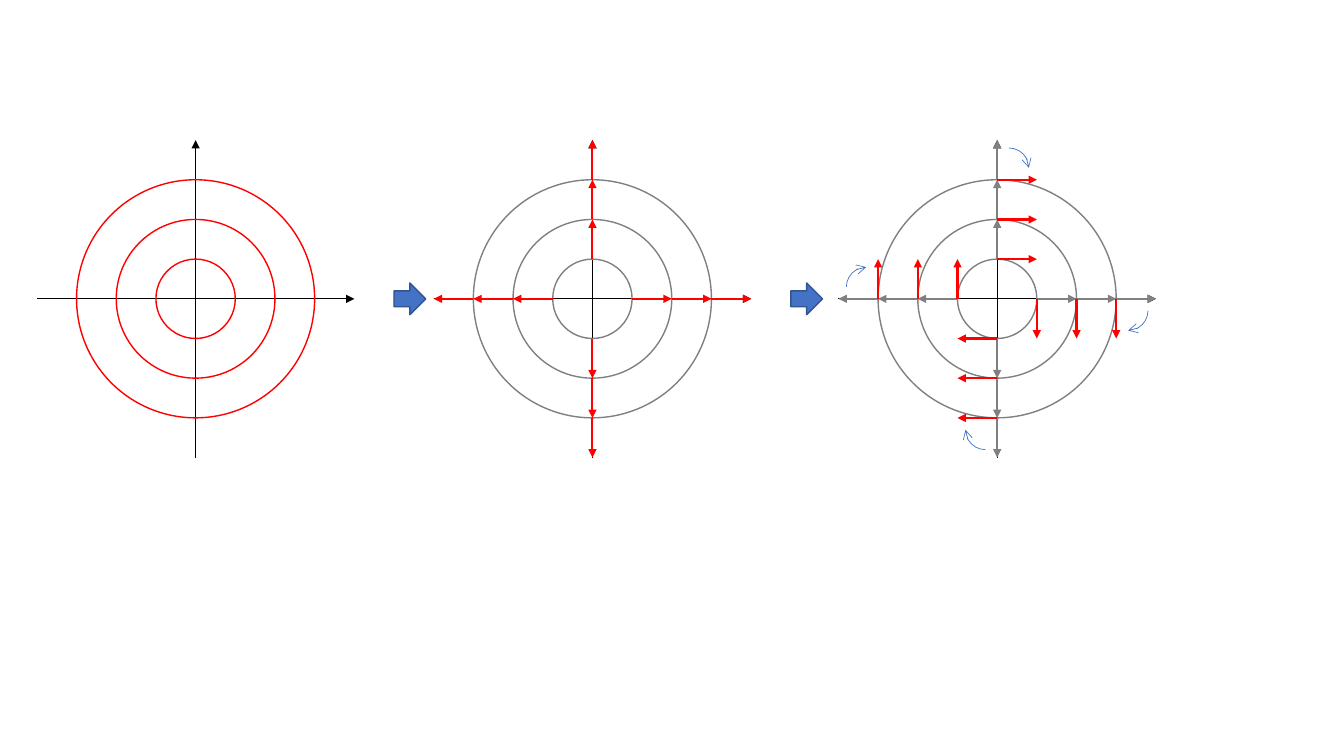
from dataclasses import dataclass
from typing import Any

from lxml import etree
from pptx import Presentation
from pptx import util as u
from pptx.dml.color import RGBColor
from pptx.enum import shapes as sh
from pptx.oxml.ns import qn


# Theme: colours and line formats
@dataclass(frozen=True)
class Theme:
    black: str = "000000"
    red: str = "FF0000"
    gray: str = "808080"
    blue: str = "4472C4"
    navy: str = "325491"
    thin: float = 0.5
    edge: float = 1
    bold: float = 1.5


# One diagram: centre, ring colour, colour of the radial arrows, turned arrows
@dataclass(frozen=True)
class Panel:
    x: float
    ring: str
    ray: str = ""
    turned: bool = False


THEME = Theme()
MID = 7.53  # height of all centres, cm
RADII = (1, 2, 3)
REACH = 4
SIDES = ((1, 0), (0, 1), (-1, 0), (0, -1))
PANELS = (
    Panel(4.93, THEME.red),
    Panel(14.93, THEME.gray, THEME.red),
    Panel(25.13, THEME.gray, THEME.gray, True),
)
BLOCKS = (10.33, 20.33)  # centres of the block arrows

prs = Presentation()
for name, size in {"slide_width": 33.87, "slide_height": 19.05}.items():
    setattr(prs, name, u.Cm(size))
slide = prs.slides.add_slide(prs.slide_layouts[6])


def pen(item: Any, color: str, width: float, head: str = "") -> None:
    """Set the outline and, if named, the arrowhead at its end."""
    item.line.color.rgb = RGBColor.from_string(color)
    item.line.width = u.Pt(width)
    if head:
        line = item.element.spPr.find(qn("a:ln"))
        etree.SubElement(line, qn("a:tailEnd"), type=head)


def arrow(x: float, y: float, dx: float, dy: float, color: str, width: float) -> None:
    item = slide.shapes.add_connector(
        sh.MSO_CONNECTOR.STRAIGHT, u.Cm(x), u.Cm(y), u.Cm(x + dx), u.Cm(y + dy))
    pen(item, color, width, "triangle")
    etree.SubElement(item.element.spPr, qn("a:effectLst"))


def form(kind: sh.MSO_SHAPE, x: float, y: float, size: float, fill: str = "") -> Any:
    """Add a square preset shape around a centre."""
    item = slide.shapes.add_shape(
        kind, u.Cm(x - size / 2), u.Cm(y - size / 2), u.Cm(size), u.Cm(size))
    item.shadow.inherit = False
    if fill:
        item.fill.solid()
        item.fill.fore_color.rgb = RGBColor.from_string(fill)
    else:
        item.fill.background()
    return item


def draw(panel: Panel) -> None:
    # Axes and rings
    arrow(panel.x, MID + REACH, 0, -2 * REACH, THEME.black, THEME.thin)
    arrow(panel.x - REACH, MID, 2 * REACH, 0, THEME.black, THEME.thin)
    for r in RADII:
        pen(form(sh.MSO_SHAPE.OVAL, panel.x, MID, 2 * r), panel.ring, THEME.edge)

    # Radial arrows
    if panel.ray:
        for dx, dy in SIDES:
            for r in RADII:
                arrow(panel.x + r * dx, MID + r * dy, dx, dy, panel.ray, THEME.bold)

    # Arrows after a quarter turn, with a curved mark on each side
    if panel.turned:
        for i, (dx, dy) in enumerate(SIDES):
            tx, ty = -dy, dx
            for r in RADII:
                arrow(panel.x + r * dx, MID + r * dy, tx, ty, THEME.red, THEME.bold)
            arc = form(sh.MSO_SHAPE.ARC, panel.x + 3.3 * dx + 0.3 * tx,
                       MID + 3.3 * dy + 0.3 * ty, 1)
            arc.rotation = 90 * (i + 1) % 360
            pen(arc, THEME.blue, THEME.thin, "arrow")


def main() -> None:
    for panel in PANELS:
        draw(panel)
    # Block arrows between the diagrams
    for x in BLOCKS:
        pen(form(sh.MSO_SHAPE.RIGHT_ARROW, x, MID, 0.8, THEME.blue),
            THEME.navy, THEME.edge)
    prs.save("out.pptx")


if __name__ == "__main__":
    main()
